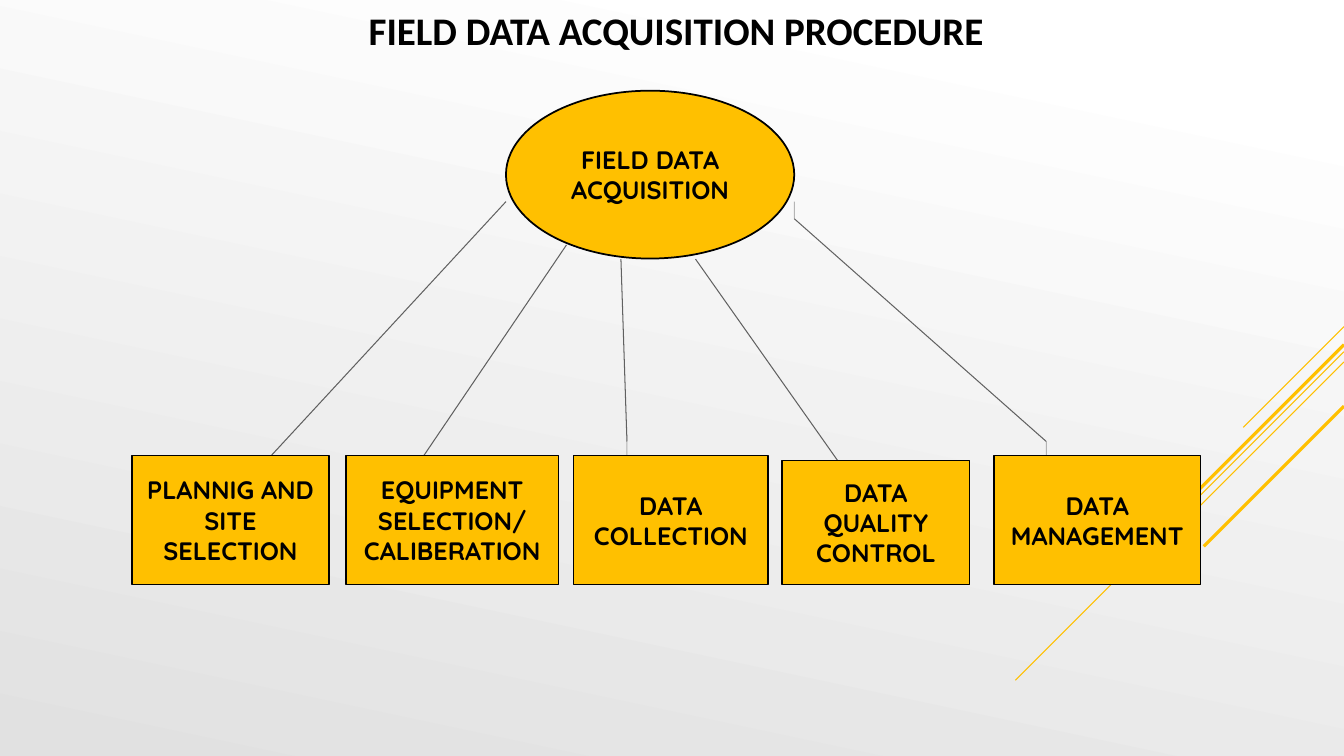
"""Build the field data acquisition slide."""
from dataclasses import dataclass
from typing import NamedTuple

from pptx import Presentation
from pptx.dml.color import RGBColor as Rgb
from pptx.enum.shapes import MSO_CONNECTOR as Link, MSO_SHAPE as Shape
from pptx.enum.text import MSO_ANCHOR as Anchor, MSO_AUTO_SIZE as Fit, PP_ALIGN as Align
from pptx.oxml.ns import qn
from pptx.util import Inches, Pt

WIDE, HIGH = Inches(13.333), Inches(7.5)


@dataclass(frozen=True)
class Theme:
    """Colours, fonts and type sizes."""
    gold: Rgb = Rgb(0xFF, 0xC0, 0x00)
    ink: Rgb = Rgb(0x00, 0x00, 0x00)
    grey: Rgb = Rgb(0x89, 0x89, 0x89)
    light: Rgb = Rgb(0xFF, 0xFF, 0xFF)
    shade: Rgb = Rgb(0xE1, 0xE1, 0xE1)
    head: str = "Calibri"
    body: str = "Quicksand"
    large: float = 27.9
    small: float = 18
    thin: float = 0.75
    edge: float = 1.25
    thick: float = 2.25


class Stripe(NamedTuple):
    """Diagonal from the right edge: start and run in percent."""
    top: float
    run: float
    weight: float


class Line(NamedTuple):
    """Link between two points in percent of the slide."""
    x1: float
    y1: float
    x2: float
    y2: float
    tint: Rgb


class Node(NamedTuple):
    """Labelled shape, placed in percent of the slide."""
    text: str
    left: float
    width: float
    top: float = 60.27
    base: float = 77.33
    kind: Shape = Shape.RECTANGLE


LOOK = Theme()
STRIPES = [
    Stripe(43.2, 7.5, LOOK.thin),
    Stripe(46.53, 24.45, LOOK.thin),
    Stripe(47.87, 15.5, LOOK.thin),
    Stripe(45.6, 14.33, LOOK.thick),
    Stripe(53.73, 10.43, LOOK.thick),
]
LINES = [
    Line(46.2, 34.27, 46.65, 58.4, LOOK.ink),
    Line(46.65, 57.47, 46.65, 70.4, LOOK.grey),
    Line(51.75, 34.27, 64.5, 66.4, LOOK.ink),
    Line(59.1, 28.93, 77.85, 58.4, LOOK.ink),
    Line(42.15, 32.4, 31.28, 60.93, LOOK.ink),
    Line(37.65, 26.67, 20.18, 60.27, LOOK.ink),
    Line(59.1, 26.67, 59.1, 28.93, LOOK.grey),
    Line(77.85, 58.4, 77.85, 60.27, LOOK.grey),
]
NODES = [
    Node("FIELD DATA ACQUISITION", 37.65, 21.45, 12, 34.2, Shape.OVAL),
    Node("PLANNIG AND SITE SELECTION", 9.83, 14.63),
    Node("EQUIPMENT SELECTION/ CALIBERATION", 25.73, 15.83),
    Node("DATA COLLECTION", 42.68, 14.48),
    Node("DATA QUALITY CONTROL", 58.2, 13.95, 60.93),
    Node("DATA MANAGEMENT", 73.95, 15.38),
]


def across(share: float) -> int:
    """Turn a percent of the width into a length."""
    return round(WIDE * share / 100)


def down(share: float) -> int:
    """Turn a percent of the height into a length."""
    return round(HIGH * share / 100)


def write(frame, text: str, font: str, size: float) -> None:
    """Put one bold centred run into a text frame."""
    frame.word_wrap = True
    frame.auto_size = Fit.NONE
    frame.vertical_anchor = Anchor.MIDDLE
    para = frame.paragraphs[0]
    para.alignment = Align.CENTER
    run = para.add_run()
    run.text = text
    run.font.name, run.font.size, run.font.bold = font, Pt(size), True
    run.font.color.rgb = LOOK.ink


def join(slide, ends: tuple[int, int, int, int], tint: Rgb,
         weight: float, alpha: int = 100) -> None:
    """Draw a straight line without shadow."""
    wire = slide.shapes.add_connector(Link.STRAIGHT, *ends)
    wire.line.color.rgb, wire.line.width = tint, Pt(weight)
    props = wire._element.spPr
    props.append(props.makeelement(qn("a:effectLst"), {}))
    if alpha < 100:
        tone = props.find(".//" + qn("a:srgbClr"))
        tone.append(tone.makeelement(qn("a:alpha"), {"val": str(alpha * 1000)}))


def place(slide, node: Node) -> None:
    """Draw one gold shape with its label."""
    item = slide.shapes.add_shape(node.kind, across(node.left), down(node.top),
                                  across(node.width), down(node.base - node.top))
    item.shadow.inherit = False
    item.fill.solid()
    item.fill.fore_color.rgb = LOOK.gold
    item.line.color.rgb, item.line.width = LOOK.ink, Pt(LOOK.edge)
    write(item.text_frame, node.text, LOOK.body, LOOK.small)


def paint(slide) -> None:
    """Fill the background with the soft gradient."""
    fill = slide.background.fill
    fill.gradient()
    fill.gradient_angle = 258
    for stop, tint, spot in zip(fill.gradient_stops, (LOOK.light, LOOK.shade), (0.1, 1)):
        stop.color.rgb, stop.position = tint, spot


def main() -> None:
    """Build and save the slide."""
    deck = Presentation()
    deck.slide_width, deck.slide_height = WIDE, HIGH
    slide = deck.slides.add_slide(deck.slide_layouts[5])
    paint(slide)
    title = slide.shapes.title
    title.left, title.top = across(22.13), down(0)
    title.width, title.height = across(53.7), down(7.87)
    write(title.text_frame, "FIELD DATA ACQUISITION PROCEDURE", LOOK.head, LOOK.large)
    title.text_frame.margin_left = across(3.4)
    for mark in STRIPES:
        drop = across(mark.run)
        ends = (WIDE, down(mark.top), WIDE - drop, down(mark.top) + drop)
        join(slide, ends, LOOK.gold, mark.weight)
    for link in LINES:
        ends = (across(link.x1), down(link.y1), across(link.x2), down(link.y2))
        join(slide, ends, link.tint, LOOK.thin, 60)
    for node in NODES:
        place(slide, node)
    deck.save("out.pptx")


if __name__ == "__main__":
    main()
